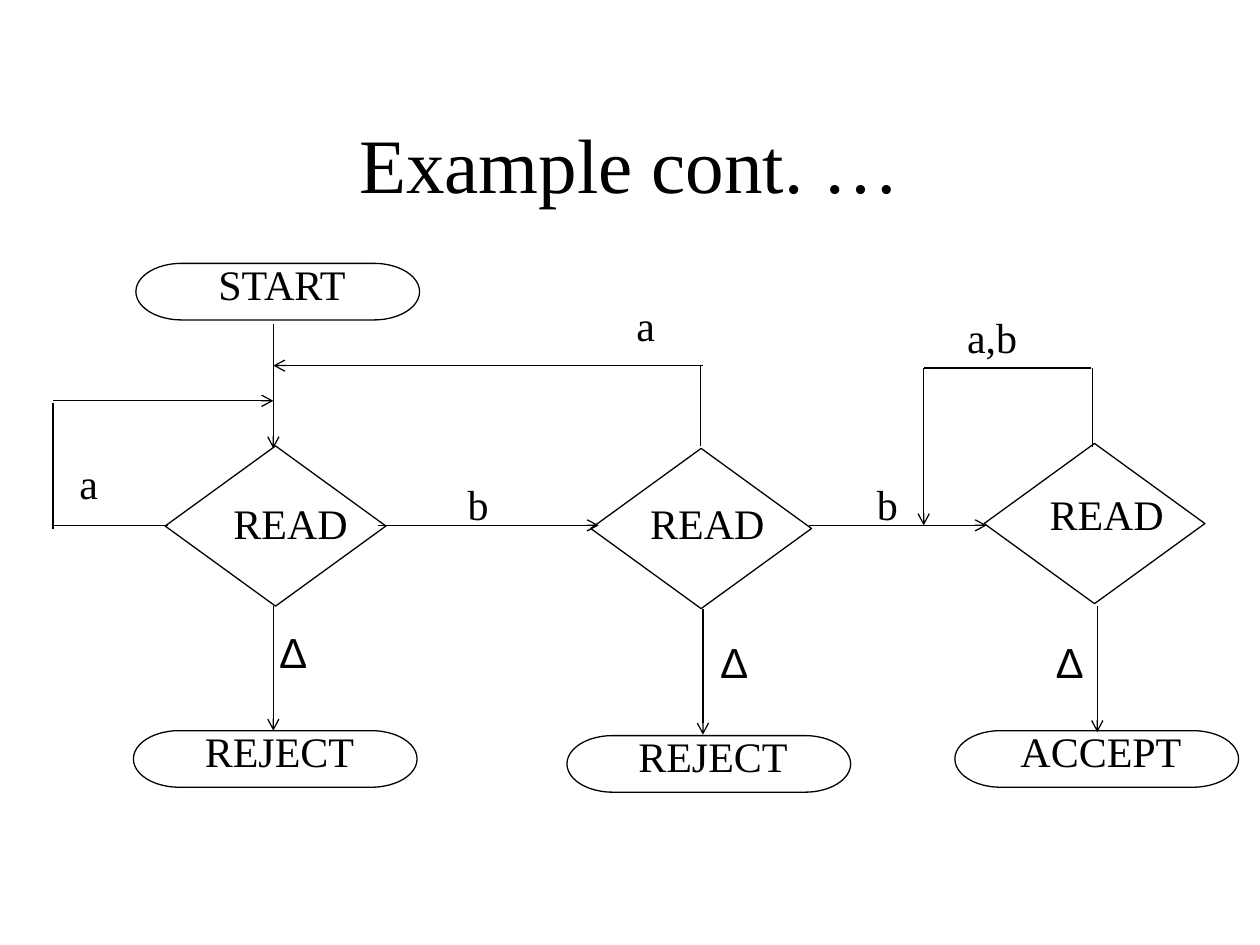
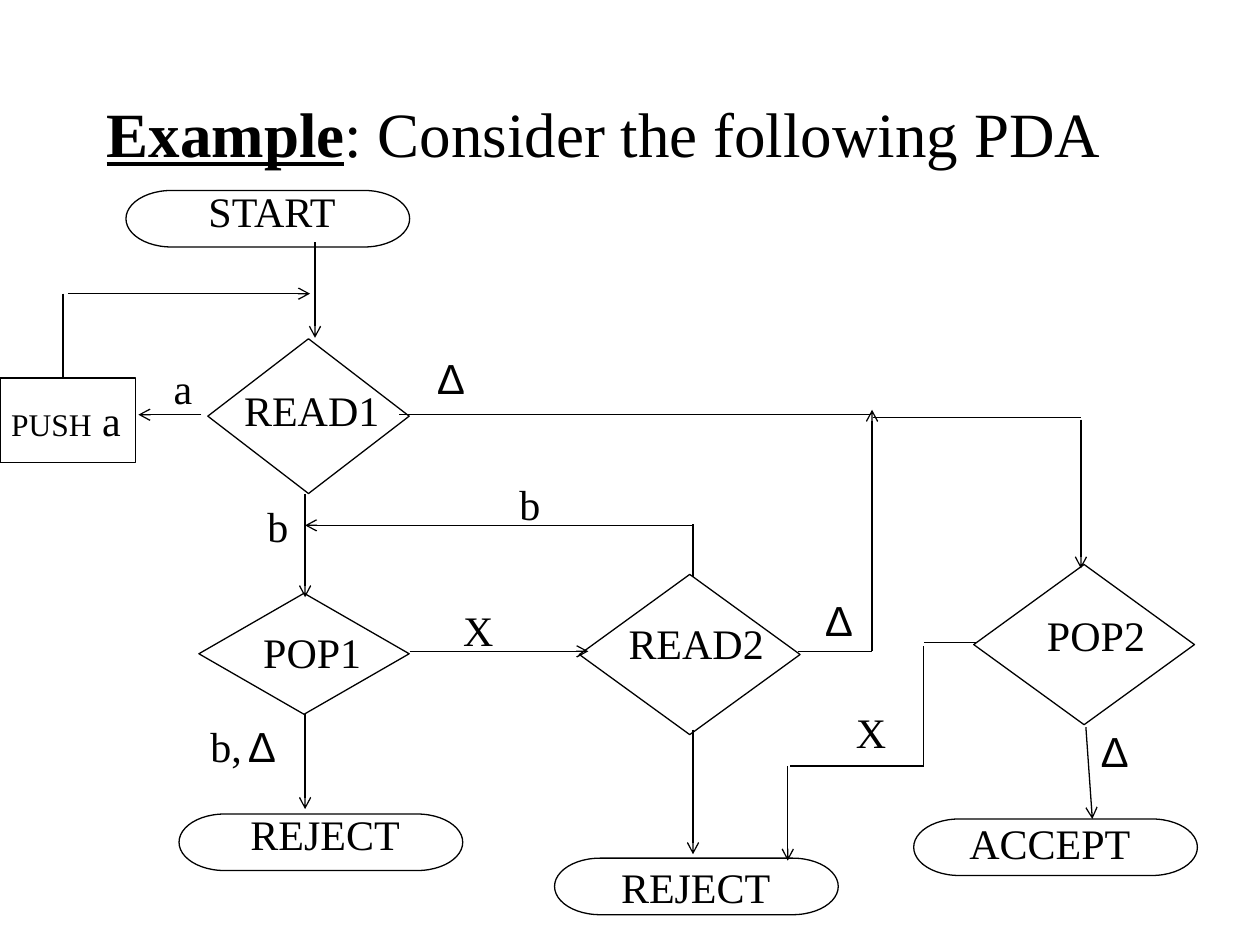
import dataclasses

import lxml.etree
import pptx
import pptx.dml.color
import pptx.enum.shapes
import pptx.enum.text
import pptx.oxml.ns
import pptx.util

Cm = pptx.util.Cm
Pt = pptx.util.Pt
Kind = pptx.enum.shapes.MSO_SHAPE
Align = pptx.enum.text.PP_ALIGN
Anchor = pptx.enum.text.MSO_ANCHOR
qn = pptx.oxml.ns.qn


@dataclasses.dataclass(frozen=True)
class Theme:
    ink: pptx.dml.color.RGBColor = pptx.dml.color.RGBColor(0, 0, 0)
    serif: str = "Times New Roman"
    sans: str = "Arial"
    large: int = 44
    head: int = 36
    body: int = 24
    small: int = 18
    line: float = 0.75


theme = Theme()


def write(page, box, runs, align=Align.CENTER, title=False):
    frame = page.shapes.add_textbox(*map(Cm, box)).text_frame
    frame.word_wrap = title
    frame.vertical_anchor = Anchor.MIDDLE if title else Anchor.TOP
    para = frame.paragraphs[0]
    para.alignment = align
    for text, size, bold in runs:
        run = para.add_run()
        run.text = text
        font = run.font
        font.name = theme.sans if "∆" in text else theme.serif
        font.size = Pt(size)
        font.bold = font.underline = bold
        font.color.rgb = theme.ink


def draw(page, kind, box):
    shape = page.shapes.add_shape(kind, *map(Cm, box))
    shape.shadow.inherit = False
    shape.fill.background()
    shape.line.color.rgb = theme.ink
    shape.line.width = Pt(theme.line)


pill = (5.72, 1.14)
gem = (4.45, 3.23)
inset = (1.04, -0.23)
tall = 1.27

charts = [
    dict(
        title=[("Example cont. …", theme.large, False)],
        top=1.7,
        align=Align.CENTER,
        ends=[
            ("START", 2.74, 5.31, inset),
            ("REJECT", 2.69, 14.73, inset),
            ("REJECT", 11.43, 14.83, inset),
            ("ACCEPT", 19.25, 14.73, inset),
        ],
        tests=[
            ("READ", (3.33, 8.99), gem, (4.45, 9.91, 2.82)),
            ("READ", (11.91, 9.04), gem, (12.85, 9.91, 2.82)),
            ("READ", (19.84, 8.94), gem, (20.9, 9.73, 2.82)),
        ],
        tasks=[],
        arrows=[
            (5.51, 6.53, 5.51, 9.04),
            (5.51, 12.22, 5.51, 14.73),
            (7.62, 10.59, 12.07, 10.59),
            (16.31, 10.59, 19.89, 10.59),
            (1.07, 8.08, 5.51, 8.08),
            (14.17, 7.37, 5.51, 7.37),
            (14.17, 12.27, 14.17, 14.81),
            (22.12, 12.22, 22.12, 14.76),
            (18.62, 7.42, 18.62, 10.59),
        ],
        wires=[
            (1.07, 10.59, 3.38, 10.59),
            (1.07, 8.13, 1.07, 10.67),
            (14.12, 7.37, 14.12, 8.99),
            (22.02, 7.42, 22.02, 9.02),
            (22, 7.42, 18.62, 7.42),
        ],
        labels=[
            ("a", 0.84, 9.09),
            ("a", 12.07, 5.92),
            ("b", 8.69, 9.53),
            ("b", 16.94, 9.53),
            ("a,b", 19.05, 6.15),
            ("∆ ", 5.08, 12.5),
            ("∆ ", 13.97, 12.7),
            ("∆ ", 20.73, 12.7),
        ],
    ),
    dict(
        title=[
            ("Example", theme.head, True),
            (": Consider the following PDA", theme.head, False),
        ],
        top=1.07,
        align=Align.LEFT,
        ends=[
            ("START", 2.54, 3.84, inset),
            ("REJECT", 3.61, 16.41, inset),
            ("REJECT", 11.18, 17.3, (0.94, -0.05)),
            ("ACCEPT", 18.42, 16.51, (0.84, -0.15)),
        ],
        tests=[
            ("READ1", (4.19, 6.83), (4.06, 3.12), (4.67, 7.62, 3.23)),
            ("POP1", (4.01, 11.96), (4.24, 2.44), (5.05, 12.5, 2.49)),
            ("READ2", (11.68, 11.58), gem, (12.42, 12.32, 3.23)),
            ("POP2", (19.63, 11.38), gem, (20.85, 12.17, 2.49)),
        ],
        tasks=[("PUSH", " a", (0, 7.62, 2.74, 1.7), (-0.03, 7.82, 2.72))],
        arrows=[
            (6.35, 4.88, 6.35, 6.81),
            (1.37, 5.92, 6.25, 5.92),
            (4.06, 8.36, 2.79, 8.36),
            (6.15, 9.96, 6.15, 12.04),
            (13.97, 10.59, 6.15, 10.59),
            (8.26, 13.13, 11.86, 13.13),
            (6.15, 14.4, 6.15, 16.31),
            (13.97, 14.71, 13.97, 17.22),
            (17.58, 13.13, 17.58, 8.26),
            (21.79, 8.46, 21.79, 11.46),
            (15.88, 15.44, 15.88, 17.35),
            (21.89, 14.66, 22.02, 16.51),
        ],
        wires=[
            (1.27, 5.92, 1.27, 7.62),
            (17.55, 8.36, 8.05, 8.36),
            (21.79, 8.41, 17.6, 8.41),
            (13.97, 10.57, 13.97, 11.63),
            (16.08, 13.13, 17.58, 13.13),
            (19.69, 12.95, 18.62, 12.95),
            (18.62, 13.03, 18.62, 15.44),
            (18.62, 15.44, 15.93, 15.44),
        ],
        labels=[
            ("a", 2.74, 7.19),
            ("b", 4.65, 9.96),
            ("b", 9.73, 9.53),
            ("X", 8.69, 12.07),
            ("X", 16.61, 14.12),
            ("b,", 3.61, 14.4),
            ("∆ ", 4.45, 14.4),
            ("∆ ", 8.26, 6.99),
            ("∆ ", 16.08, 11.86),
            ("∆ ", 21.64, 14.5),
        ],
    ),
]

deck = pptx.Presentation()
deck.slide_width = Cm(25.4)
deck.slide_height = Cm(19.05)

for chart in charts:
    page = deck.slides.add_slide(deck.slide_layouts[6])
    write(page, (1.9, chart["top"], 21.6, 3.18), chart["title"], chart["align"], True)

    for text, x, y, (dx, dy) in chart["ends"]:
        draw(page, Kind.FLOWCHART_TERMINATOR, (x, y, *pill))
        write(page, (x + dx, y + dy, 3.81, tall), [(text, theme.body, False)])

    for text, spot, size, area in chart["tests"]:
        draw(page, Kind.FLOWCHART_DECISION, (*spot, *size))
        write(page, (*area, tall), [(text, theme.body, False)])

    for verb, item, box, area in chart["tasks"]:
        draw(page, Kind.RECTANGLE, box)
        runs = [(verb, theme.small, False), (item, theme.body, False)]
        write(page, (*area, tall), runs)

    for group in ("wires", "arrows"):
        for ends in chart[group]:
            link = page.shapes.add_connector(
                pptx.enum.shapes.MSO_CONNECTOR.STRAIGHT, *map(Cm, ends)
            )
            link.line.color.rgb = theme.ink
            link.line.width = Pt(theme.line)
            props = link._element.spPr
            lxml.etree.SubElement(props, qn("a:effectLst"))
            if group == "arrows":
                stroke = props.find(qn("a:ln"))
                lxml.etree.SubElement(stroke, qn("a:tailEnd"), type="arrow")

    for text, x, y in chart["labels"]:
        write(page, (x, y, 1.9, tall), [(text, theme.body, False)])

deck.save("out.pptx")
